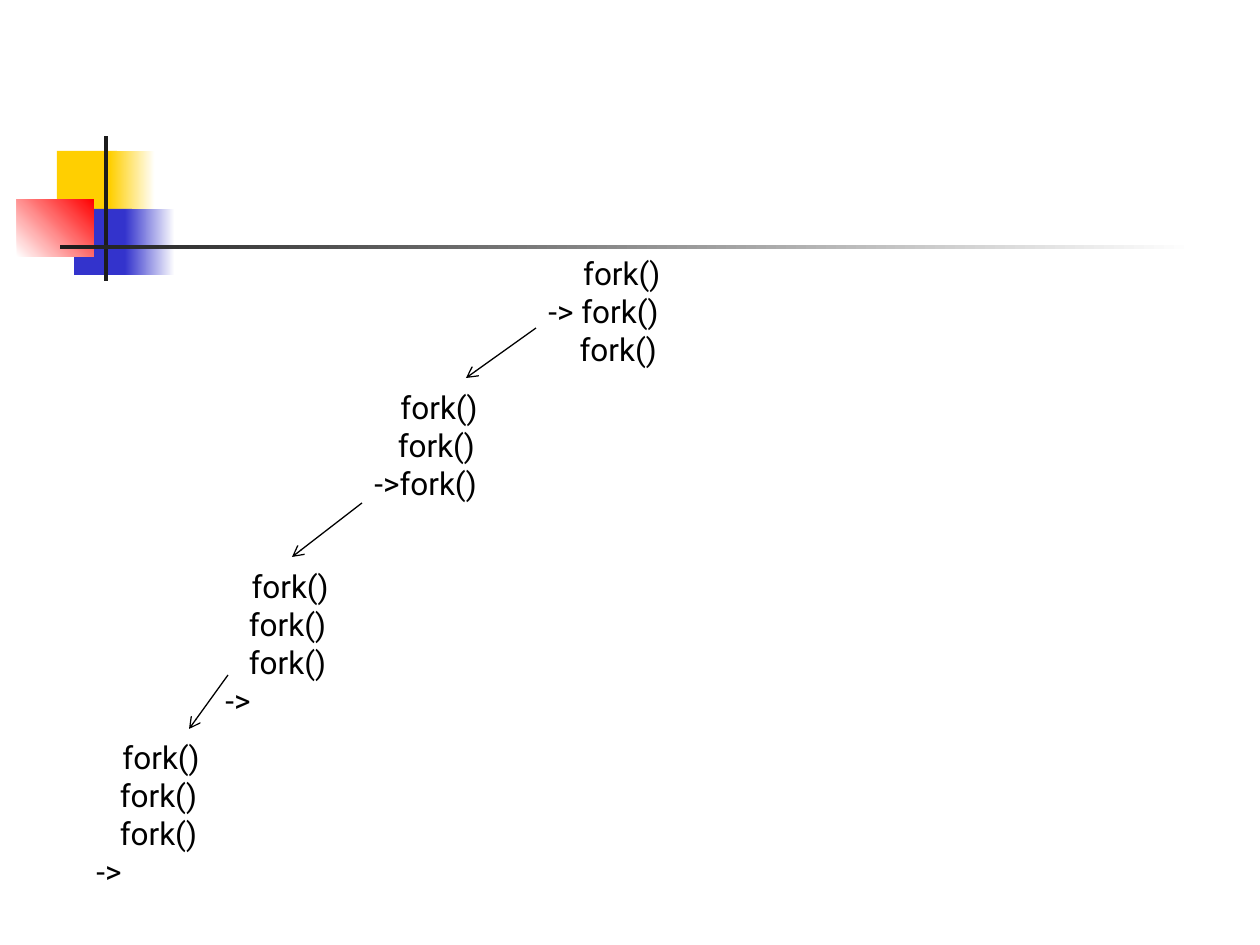
from pptx import Presentation, util as u
from pptx.dml.color import RGBColor
from pptx.enum import shapes, text
from pptx.oxml.ns import qn
from lxml import etree

PX = 914400 / 126
FONT = "Roboto"
COLORS = {
    "yellow": "FFCF01",
    "blue": "3333CC",
    "red": "FF0000",
    "dark": "1C1C1C",
    "white": "FFFFFF",
    "ink": "000000",
}


def px(*lengths):
    return [u.Emu(round(length * PX)) for length in lengths]


def color(name):
    return RGBColor.from_string(COLORS[name])


def add_block(page, box, start, end=None, angle=0):
    block = page.shapes.add_shape(shapes.MSO_SHAPE.RECTANGLE, *px(*box))
    block.shadow.inherit = False
    block.line.fill.background()
    if end is None:
        block.fill.solid()
        block.fill.fore_color.rgb = color(start)
        return
    block.fill.gradient()
    block.fill.gradient_angle = angle
    for stop, name, position in zip(block.fill.gradient_stops, (start, end), (0, 1)):
        stop.color.rgb = color(name)
        stop.position = position


def add_ornament(page, left, top):
    blocks = [
        ((40, 15, 60, 66), "yellow"),
        ((93, 15, 45, 66), "yellow", "white"),
        ((57, 73, 58, 66), "blue"),
        ((108, 73, 50, 66), "blue", "white"),
        ((0, 63, 77, 58), "white", "red", 45),
        ((87, 0, 4, 145), "dark"),
        ((43, 109, 1134, 4), "dark", "white"),
    ]
    for (x, y, width, height), *fill in blocks:
        add_block(page, (left + x, top + y, width, height), *fill)


def add_process(page, box, lines):
    label = page.shapes.add_textbox(*px(*box))
    frame = label.text_frame
    frame.word_wrap = True
    frame.auto_size = text.MSO_AUTO_SIZE.SHAPE_TO_FIT_TEXT
    frame.text = "\n".join(lines)
    first = frame.paragraphs[0]
    code = lines[0].lstrip()
    first.runs[0].text = lines[0][:-len(code)]
    first.add_run().text = code
    for para in frame.paragraphs:
        for span in para.runs:
            span.font.name = FONT
            span.font.size = u.Pt(18)
            span.font.color.rgb = color("ink")
    first.runs[0].font.size = u.Pt(20)


def add_arrow(page, start, end):
    arrow = page.shapes.add_connector(
        shapes.MSO_CONNECTOR.STRAIGHT, *px(*start, *end))
    arrow.line.color.rgb = color("ink")
    arrow.line.width = u.Pt(0.75)
    etree.SubElement(arrow.line._get_or_add_ln(), qn("a:tailEnd"), type="arrow")
    etree.SubElement(arrow._element.spPr, qn("a:effectLst"))


def add_fork_tree(page):
    call = "   fork()"
    finished = [call] * 3 + ["->"]
    processes = [
        ((536, 244, 213, 131), [" " + call, "-> fork()", " " + call]),
        ((362, 378, 208, 131), [call, call, "->fork()"]),
        ((213, 557, 208, 169), finished),
        ((84, 728, 208, 169), finished),
    ]
    arrows = [
        ((536, 328), (466, 378)),
        ((362, 503), (292, 557)),
        ((228, 675), (189, 729)),
    ]
    for box, lines in processes:
        add_process(page, box, lines)
    for start, end in arrows:
        add_arrow(page, start, end)


def main():
    deck = Presentation()
    deck.slide_width, deck.slide_height = px(1260, 945)
    page = deck.slides.add_slide(deck.slide_layouts[6])
    add_ornament(page, 17, 136)
    add_fork_tree(page)
    deck.save("out.pptx")


if __name__ == "__main__":
    main()
